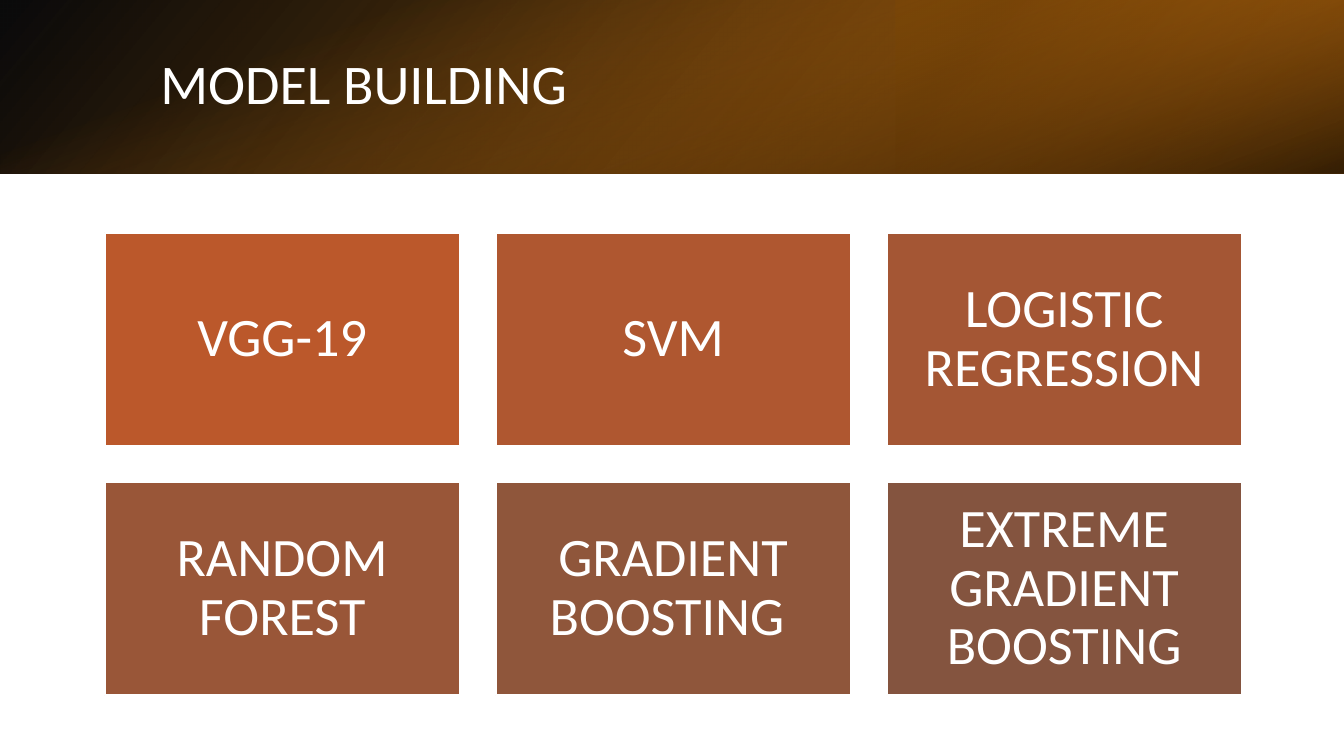
import pptx
import pptx.dml.color
import pptx.enum.shapes
import pptx.enum.text
import pptx.oxml
import pptx.oxml.ns
import pptx.util
from pptx.util import Cm

COLORS = {
    "white": "FFFFFF", "black": "000000",
    "amber": "E48312", "bronze": "AB620D", "brown": "724108",
}
RECTANGLE = pptx.enum.shapes.MSO_SHAPE.RECTANGLE
ALIGN = pptx.enum.text.PP_ALIGN


def fill_gradient(shape, stops, angle):
    """Fill with (position, colour name, opacity) stops, all in percent."""
    shape.fill.background()
    stop_xml = "".join(
        f'<a:gs pos="{position * 1000}"><a:srgbClr val="{COLORS[name]}">'
        f'<a:alpha val="{opacity * 1000}"/></a:srgbClr></a:gs>'
        for position, name, opacity in stops)
    gradient = pptx.oxml.parse_xml(
        f'<a:gradFill {pptx.oxml.ns.nsdecls("a")}><a:gsLst>{stop_xml}</a:gsLst>'
        f'<a:lin ang="{angle * 60000}" scaled="0"/></a:gradFill>')
    properties = shape._element.spPr
    properties.replace(properties.find(pptx.oxml.ns.qn("a:noFill")), gradient)


def write_text(shape, text, size, spacing, align, margins):
    frame = shape.text_frame
    frame.text = text
    side, top = margins
    frame_format = {
        "word_wrap": True,
        "auto_size": pptx.enum.text.MSO_AUTO_SIZE.NONE,
        "vertical_anchor": pptx.enum.text.MSO_ANCHOR.MIDDLE,
        "margin_left": side, "margin_right": side,
        "margin_top": top, "margin_bottom": top,
    }
    for name, value in frame_format.items():
        setattr(frame, name, value)
    para = frame.paragraphs[0]
    para.alignment = align
    para.line_spacing = spacing
    font = para.runs[0].font
    for name, value in {"name": "Calibri", "size": pptx.util.Pt(size)}.items():
        setattr(font, name, value)
    font.color.rgb = pptx.dml.color.RGBColor.from_string(COLORS["white"])


deck = pptx.Presentation()
deck.slide_width = Cm(25.4)
deck.slide_height = Cm(14.29)
page = deck.slides.add_slide(deck.slide_layouts[5])
title = page.shapes.title

# Header band: three layered gradients
band_height = 3.28
bands = [
    # left, top, width, height, rotation, flipped, angle, stops
    (0, 0, 25.4, band_height, 0, True, 140,
     [(0, "black", 96), (100, "bronze", 96 + 4)]),
    (16.93, 0, 8.47, band_height, 180, True, 320,
     [(0, "brown", 68), (19, "brown", 68), (100, "amber", 79)]),
    (11.06, -11.06, band_height, 25.4, 90, False, 340,
     [(0, "amber", 0), (23, "amber", 0), (99, "black", 74), (100, "black", 74)]),
]
bands[0][-1][1] = (100, "bronze", 100)
for left, top, width, height, rotation, flipped, angle, stops in bands:
    band = page.shapes.add_shape(RECTANGLE, Cm(left), Cm(top), Cm(width), Cm(height))
    band.shadow.inherit = False
    band.rotation = rotation
    if flipped:
        band._element.spPr.xfrm.set("flipH", "1")
    band.line.fill.background()
    fill_gradient(band, stops, angle)

# Title, brought in front of the band
page.shapes._spTree.append(title._element)
title_place = {"left": Cm(2.84), "top": Cm(0.74), "width": Cm(20.93), "height": Cm(1.83)}
for name, value in title_place.items():
    setattr(title, name, value)
write_text(title, "MODEL BUILDING", 30, 0.85, ALIGN.LEFT, (Cm(0.19), Cm(0.09)))

# Grid of models, three to a row
models = [
    ("VGG-19", "BB582B"), ("SVM", "AF5730"), ("LOGISTIC REGRESSION", "A45634"),
    ("RANDOM FOREST", "995638"), ("GRADIENT BOOSTING ", "8F563B"),
    ("EXTREME GRADIENT BOOSTING", "84543F"),
]
tile_width, tile_height, gap = 6.71, 4.03, 0.68
for index, (model, color) in enumerate(models):
    row, column = divmod(index, 3)
    tile = page.shapes.add_shape(
        RECTANGLE,
        Cm(1.98 + column * (tile_width + gap)), Cm(4.4 + row * (tile_height + gap)),
        Cm(tile_width), Cm(tile_height))
    tile.shadow.inherit = False
    tile.fill.solid()
    tile.fill.fore_color.rgb = pptx.dml.color.RGBColor.from_string(color)
    tile.line.color.rgb = pptx.dml.color.RGBColor.from_string(COLORS["white"])
    tile.line.width = pptx.util.Pt(1.25)
    write_text(tile, model, 29, 0.9, ALIGN.CENTER, (Cm(0.3), Cm(0.3)))

deck.save("out.pptx")
